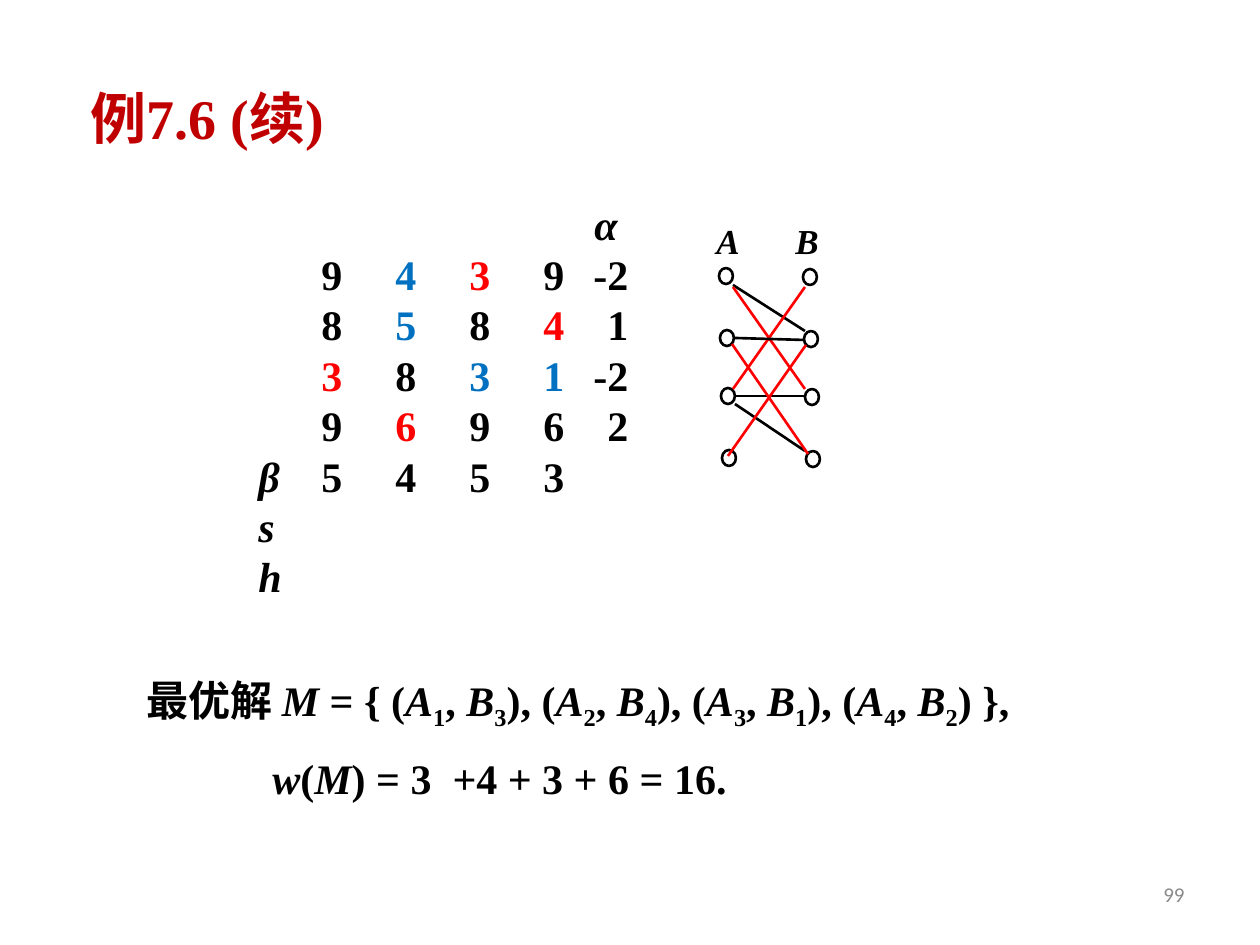
from lxml import etree
from pptx import Presentation
from pptx.dml.color import RGBColor
from pptx.enum.shapes import MSO_CONNECTOR, MSO_SHAPE
from pptx.enum.text import MSO_ANCHOR, PP_ALIGN
from pptx.oxml.ns import qn
from pptx.util import Emu, Pt

LINE = MSO_CONNECTOR.STRAIGHT
ELLIPSE = MSO_SHAPE.OVAL
MIDDLE = MSO_ANCHOR.MIDDLE
LEFT, RIGHT = PP_ALIGN.LEFT, PP_ALIGN.RIGHT

BLACK = RGBColor(0x00, 0x00, 0x00)
WHITE = RGBColor(0xFF, 0xFF, 0xFF)
RED = RGBColor(0xFF, 0x00, 0x00)
BLUE = RGBColor(0x00, 0x70, 0xC0)
DARK_RED = RGBColor(0xC0, 0x00, 0x00)
GRAY = RGBColor(0x89, 0x89, 0x89)
SERIF = "Times New Roman"

COLUMN_TABS = [(63 + 74 * column, "l") for column in range(4)] + [(370, "r")]
ALPHA_TABS = [(336, "l")]
MATRIX = [
    ("", [("9", BLACK), ("4", BLUE), ("3", RED), ("9", BLACK), ("-2", BLACK)]),
    ("", [("8", BLACK), ("5", BLUE), ("8", BLACK), ("4", RED), ("1", BLACK)]),
    ("", [("3", RED), ("8", BLACK), ("3", BLUE), ("1", BLUE), ("-2", BLACK)]),
    ("", [("9", BLACK), ("6", RED), ("9", BLACK), ("6", BLACK), ("2", BLACK)]),
    ("β", [(value, BLACK) for value in "5453"]),
    ("s", []),
    ("h", []),
]
NODE_ROWS = [49, 111, 169, 231]
EDGES = [
    (29, 66, 101, 112, BLACK),
    (29, 68, 101, 170, RED),
    (29, 170, 101, 68, RED),
    (32, 177, 100, 177, BLACK),
    (31, 185, 101, 232, BLACK),
    (31, 119, 100, 121, BLACK),
    (24, 237, 102, 126, RED),
    (28, 125, 104, 235, RED),
]
MATCHING = [(1, 3), (2, 4), (3, 1), (4, 2)]


def px(length):
    return Emu(round(length * 914400 / 126))


def set_font(paragraph, size, color, name=SERIF, bold=True):
    font = paragraph.font
    font.name, font.size, font.bold = name, Pt(size), bold
    font.color.rgb = color


def add_run(paragraph, text, italic=False, color=None, subscript=False):
    run = paragraph.add_run()
    run.text = text
    if italic:
        run.font.italic = True
    if color is not None:
        run.font.color.rgb = color
    if subscript:
        run.font._element.set("baseline", "-25000")


def add_frame(slide, box):
    frame = slide.shapes.add_textbox(*map(px, box)).text_frame
    frame.word_wrap = True
    return frame


def set_tabs(paragraph, tabs):
    tab_list = etree.SubElement(paragraph._p.get_or_add_pPr(), qn("a:tabLst"))
    for position, align in tabs:
        etree.SubElement(tab_list, qn("a:tab"), pos=str(px(position)), algn=align)


def add_title(slide, box):
    title = slide.shapes.title
    title.left, title.top, title.width, title.height = map(px, box)
    frame = title.text_frame
    frame.text = "例7.6 (续)"
    frame.vertical_anchor = MIDDLE
    heading = frame.paragraphs[0]
    heading.alignment = LEFT
    set_font(heading, 32, DARK_RED)


def add_matrix(slide, box):
    frame = add_frame(slide, box)
    alpha_row = frame.paragraphs[0]
    alpha_row.line_spacing = Pt(28.8)
    set_tabs(alpha_row, ALPHA_TABS)
    set_font(alpha_row, 24, BLACK)
    add_run(alpha_row, "\tα", italic=True)
    for label, cells in MATRIX:
        row = frame.add_paragraph()
        row.line_spacing = Pt(28.8)
        set_tabs(row, COLUMN_TABS)
        set_font(row, 24, BLACK)
        if label:
            add_run(row, label, italic=True)
        for value, color in cells:
            add_run(row, "\t" + value, color=color)


def add_node(slide, x, y):
    node = slide.shapes.add_shape(ELLIPSE, px(x), px(y), px(14), px(16))
    node.shadow.inherit = False
    node.fill.solid()
    node.fill.fore_color.rgb = WHITE
    node.line.color.rgb = BLACK
    node.line.width = Pt(1.5)


def add_edge(slide, start, end, color):
    edge = slide.shapes.add_connector(LINE, *map(px, start + end))
    edge.line.color.rgb = color
    edge.line.width = Pt(1.5)
    etree.SubElement(edge._element.spPr, qn("a:effectLst"))


def add_graph(slide, left, top):
    for side, label_x, node_x in (("A", 0, 15), ("B", 79, 99)):
        frame = add_frame(slide, (left + label_x, top, 37, 29))
        frame.word_wrap = False
        frame.margin_top = frame.margin_bottom = 0
        label = frame.paragraphs[0]
        add_run(label, side, italic=True)
        set_font(label, 20, BLACK)
        for index, node_y in enumerate(NODE_ROWS):
            add_node(slide, left + node_x + index, top + node_y + (side == "B"))
    for x1, y1, x2, y2, color in EDGES:
        add_edge(slide, (left + x1, top + y1), (left + x2, top + y2), color)


def add_solution(slide, box):
    frame = add_frame(slide, box)
    matching = frame.paragraphs[0]
    set_font(matching, 24, BLACK)
    add_run(matching, "最优解 ")
    add_run(matching, "M", italic=True)
    add_run(matching, " = { (")
    for index, (a, b) in enumerate(MATCHING):
        if index:
            add_run(matching, "), (")
        add_run(matching, "A", italic=True)
        add_run(matching, str(a), subscript=True)
        add_run(matching, ", ")
        add_run(matching, "B", italic=True)
        add_run(matching, str(b), subscript=True)
    add_run(matching, ") },")

    weight = frame.add_paragraph()
    weight._p.get_or_add_pPr().set("marL", str(px(126)))
    weight.space_before = Pt(12)
    set_font(weight, 24, BLACK)
    add_run(weight, "w", italic=True)
    add_run(weight, "(")
    add_run(weight, "M", italic=True)
    add_run(weight, ") = 3  +4 + 3 + 6 = 16.")


def add_page_number(slide, box):
    frame = add_frame(slide, box)
    frame.vertical_anchor = MIDDLE
    number = frame.paragraphs[0]
    number.alignment = RIGHT
    add_run(number, "99")
    set_font(number, 12, GRAY, "Calibri", False)


def main():
    presentation = Presentation()
    presentation.slide_width, presentation.slide_height = px(1260), px(945)
    slide = presentation.slides.add_slide(presentation.slide_layouts[5])
    add_page_number(slide, (903, 869, 294, 50))
    add_title(slide, (78, 29, 440, 176))
    add_matrix(slide, (246, 192, 418, 413))
    add_graph(slide, 704, 219)
    add_solution(slide, (134, 668, 993, 136))
    presentation.save("out.pptx")


if __name__ == "__main__":
    main()
